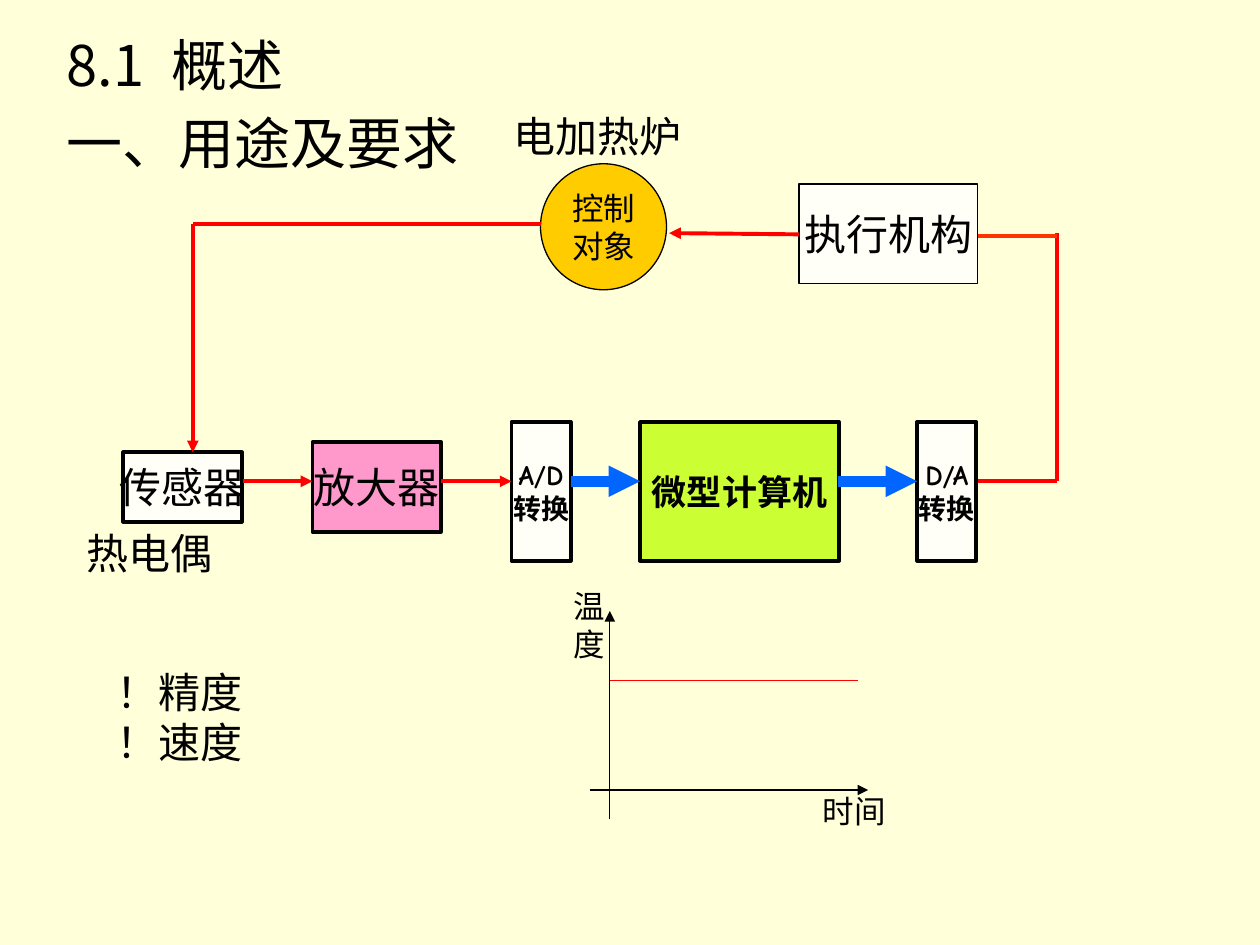
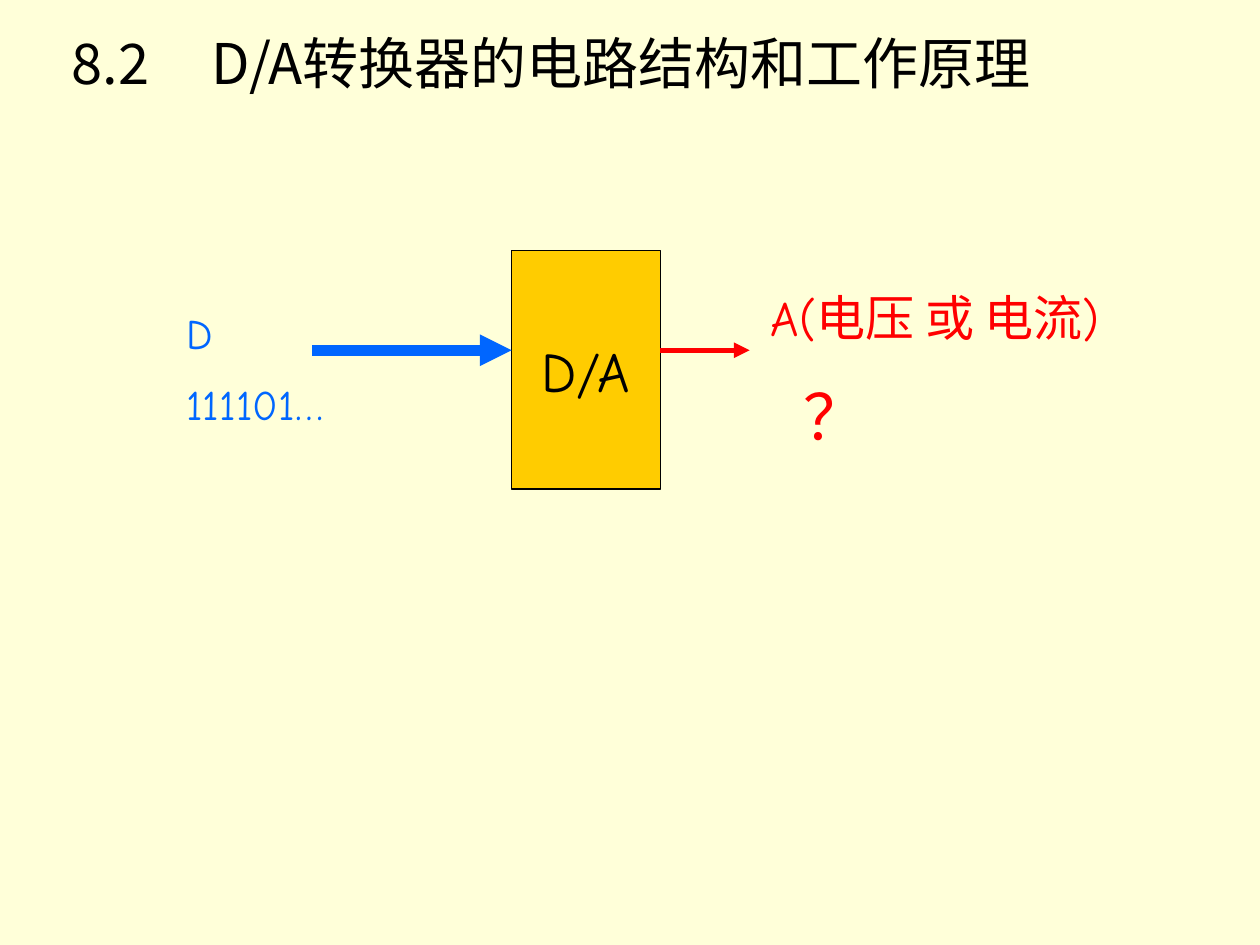
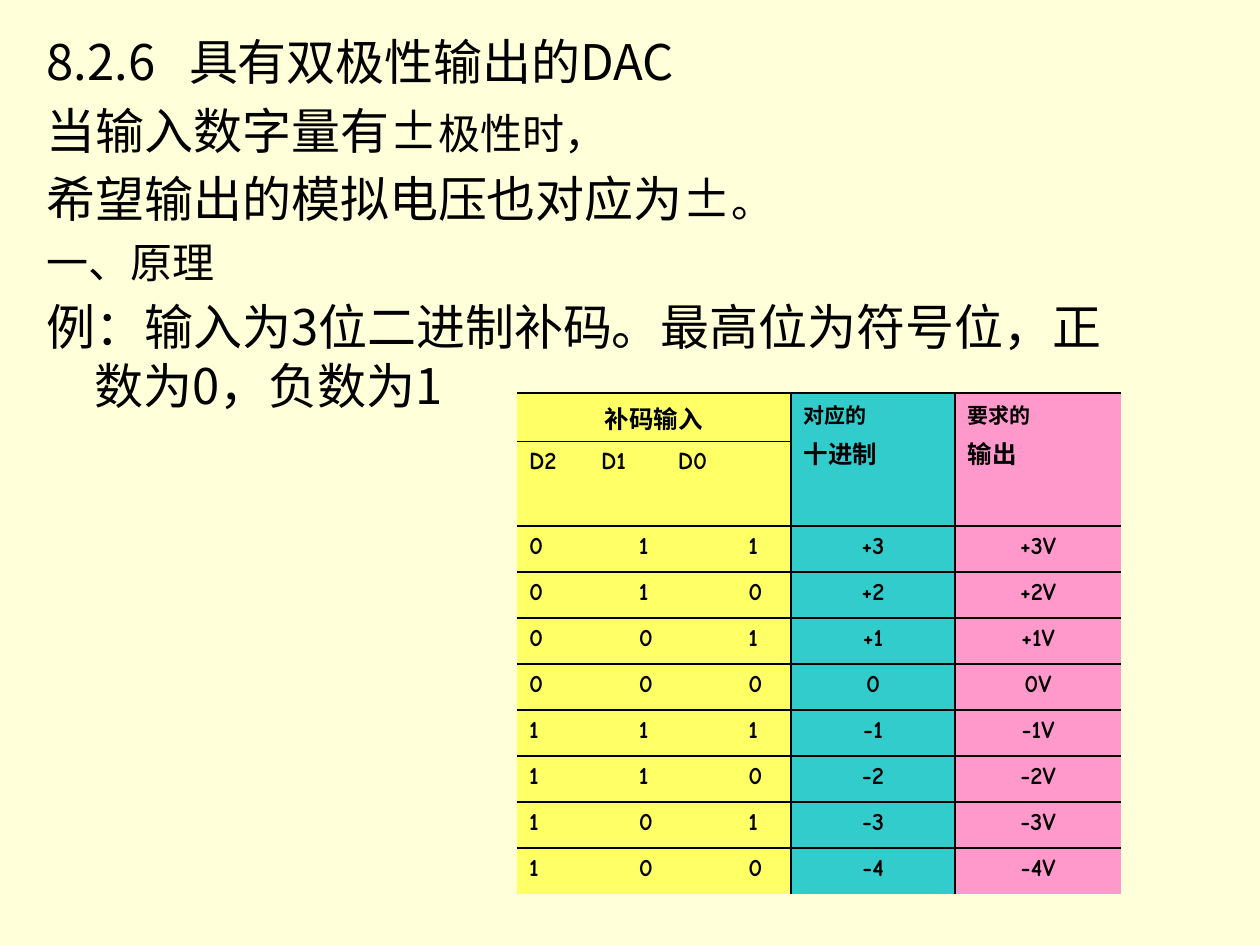
import itertools

import lxml.etree
import pptx
import pptx.dml.color
import pptx.enum.shapes
import pptx.enum.text
import pptx.oxml.ns
import pptx.util

RGBColor = pptx.dml.color.RGBColor
SHAPE = pptx.enum.shapes.MSO_SHAPE
ALIGN = pptx.enum.text.PP_ALIGN
qn = pptx.oxml.ns.qn

CREAM = RGBColor(0xFF, 0xFF, 0xD9)
IVORY = RGBColor(0xFF, 0xFF, 0xF7)
BLACK = RGBColor(0x00, 0x00, 0x00)
RED = RGBColor(0xFF, 0x00, 0x00)
ORANGE_RED = RGBColor(0xFF, 0x33, 0x00)
BLUE = RGBColor(0x00, 0x66, 0xFF)
PINK = RGBColor(0xFF, 0x99, 0xCC)
LIME = RGBColor(0xCC, 0xFF, 0x33)
GOLD = RGBColor(0xFF, 0xCC, 0x00)
YELLOW = RGBColor(0xFF, 0xFF, 0x66)
TEAL = RGBColor(0x33, 0xCC, 0xCC)

CHINESE = "Noto Sans CJK SC"
LATIN = "Comic Neue"
PLAIN = "Arial"

SLIDE_WIDTH, SLIDE_HEIGHT = pptx.util.Inches(10), pptx.util.Inches(7.5)
COLUMN, ROW = SLIDE_WIDTH / 10, SLIDE_HEIGHT / 7.5
SIGNAL_ROW = 3.82
PLAIN_TABLE = "{2D5ABB26-0587-4C30-8999-92F81FD0307C}"


def place(*lengths):
    """Turn alternating grid columns and rows into slide lengths."""
    return [round(length * unit) for length, unit in zip(lengths, itertools.cycle((COLUMN, ROW)))]


def style(para, size, font, color=BLACK, bold=False, align=None, before=0, indent=0, hanging=0, tab_step=None):
    """Format a paragraph; indents and tab steps are in grid columns."""
    properties = para._p.get_or_add_pPr()
    properties.set("marL", str(round(indent * COLUMN)))
    properties.set("indent", str(round(-hanging * COLUMN)))
    if tab_step:
        properties.set("defTabSz", str(round(tab_step * COLUMN)))
    lxml.etree.SubElement(properties, qn("a:buNone"))
    para.font.size = pptx.util.Pt(size)
    para.font.bold = bold
    para.font.color.rgb = color
    para.font.name = font
    lxml.etree.SubElement(properties.find(qn("a:defRPr")), qn("a:ea"), typeface=CHINESE)
    para.space_before = pptx.util.Pt(before)
    if align is not None:
        para.alignment = align


def paragraphs(frame, lines):
    """Yield one paragraph for each line, with its place in the list."""
    for index, line in enumerate(lines):
        para = frame.paragraphs[0] if index == 0 else frame.add_paragraph()
        yield index, line, para


def add_body(slide, area, lines, number_width):
    """Fill the body placeholder with (size, text, smaller tail) lines."""
    body = slide.placeholders[1]
    body.left, body.top, body.width, body.height = place(*area)
    body.text_frame.auto_size = pptx.enum.text.MSO_AUTO_SIZE.NONE
    for index, (size, text, tail), para in paragraphs(body.text_frame, lines):
        para.add_run().text = text
        if tail:
            span = para.add_run()
            span.text = tail
            span.font.size = pptx.util.Pt(24)
        hanging = number_width if "\t" in text else 0.38
        style(para, size, CHINESE, before=0.2 * size if index else 0, indent=hanging, hanging=hanging)


def add_label(slide, area, lines, size, font, color=BLACK, spacing=0.0, hanging=0):
    """Add a free text label with one paragraph for each line."""
    box = slide.shapes.add_textbox(*place(*area))
    box.text_frame.word_wrap = True
    for index, line, para in paragraphs(box.text_frame, lines):
        para.text = line
        style(para, size, font, color, before=spacing * size if index else 0, indent=hanging, hanging=hanging)
    return box


def add_block(slide, area, lines, fill, size, font, bold=False, border=2.25, kind=SHAPE.RECTANGLE):
    """Add an outlined diagram block with centred text."""
    block = slide.shapes.add_shape(kind, *place(*area))
    block.shadow.inherit = False
    block.fill.solid()
    block.fill.fore_color.rgb = fill
    block.line.color.rgb = BLACK
    block.line.width = pptx.util.Pt(border)
    frame = block.text_frame
    frame.word_wrap = False
    frame.vertical_anchor = pptx.enum.text.MSO_ANCHOR.MIDDLE
    for _, line, para in paragraphs(frame, lines):
        para.text = line
        style(para, size, font, bold=bold, align=ALIGN.CENTER)


def add_path(slide, points, color=RED, width=2.25, arrow=True):
    """Join the points with straight connectors, with an arrowhead at the end."""
    for start, end in itertools.pairwise(points):
        line = slide.shapes.add_connector(pptx.enum.shapes.MSO_CONNECTOR.STRAIGHT, *place(*start, *end))
        line.line.color.rgb = color
        line.line.width = pptx.util.Pt(width)
        if arrow and end == points[-1]:
            lxml.etree.SubElement(line.line._get_or_add_ln(), qn("a:tailEnd"), type="triangle")
        lxml.etree.SubElement(line._element.spPr, qn("a:effectLst"))


def add_border(cell, side, visible=True):
    """Draw a thin black border on one side of a table cell, or clear it."""
    border = lxml.etree.Element(qn(f"a:ln{side}"), w=str(pptx.util.Pt(1)))
    fill = lxml.etree.SubElement(border, qn("a:solidFill" if visible else "a:noFill"))
    if visible:
        lxml.etree.SubElement(fill, qn("a:srgbClr"), val=str(BLACK))
    cell._tc.get_or_add_tcPr().insert(0, border)


def write_cell(cell, lines, align=None, **layout):
    """Write (size, text) lines into a table cell."""
    for index, (size, text), para in paragraphs(cell.text_frame, lines):
        para.text = text
        style(para, size, LATIN, bold=True, align=align, before=0.2 * size if index else 0, **layout)


def add_code_table(slide):
    """Add the table of complement codes, decimal values and output voltages."""
    heights = [0.38, 0.67] + [2.92 / 8] * 8
    widths = [0.87, 0.87, 0.44, 1.3, 1.32]
    fills = [YELLOW] * 3 + [TEAL, PINK]
    frame = slide.shapes.add_table(len(heights), len(widths), *place(4.1, 3.12, sum(widths), sum(heights)))
    table = frame.table
    table.first_row = table.horz_banding = False
    table._tbl.tblPr.find(qn("a:tableStyleId")).text = PLAIN_TABLE
    for column, width in zip(table.columns, widths):
        column.width = round(width * COLUMN)
    for row, height in zip(table.rows, heights):
        row.height = round(height * ROW)
    for row in (0, 1):
        table.cell(row, 0).merge(table.cell(row, 2))
    for column in (3, 4):
        table.cell(0, column).merge(table.cell(1, column))

    write_cell(table.cell(0, 0), [(14, "补码输入")], ALIGN.CENTER)
    write_cell(table.cell(0, 3), [(12, "对应的"), (14, "十进制")])
    write_cell(table.cell(0, 4), [(12, "要求的"), (14, "输出")])
    write_cell(table.cell(1, 0), [(14, "D2\tD1\tD0")], indent=0.57, hanging=0.57, tab_step=0.61)
    for row, value in enumerate(range(3, -5, -1), start=2):
        number = f"{value:+d}" if value else "0"
        for column, bit in enumerate(f"{value % 8:03b}"):
            write_cell(table.cell(row, column), [(14, bit)])
        write_cell(table.cell(row, 3), [(14, number)], ALIGN.CENTER)
        write_cell(table.cell(row, 4), [(14, number + "V")], ALIGN.CENTER)

    for row, column in itertools.product(range(len(heights)), range(len(widths))):
        cell = table.cell(row, column)
        cell.fill.solid()
        cell.fill.fore_color.rgb = fills[column]
        if cell.is_spanned:
            write_cell(cell, [(12, "")])
        else:
            add_border(cell, "T")
        if column == 4:
            add_border(cell, "R", visible=False)
        if column >= 3:
            add_border(cell, "L")


def add_page(deck):
    """Add a slide that keeps only the body placeholder."""
    page = deck.slides.add_slide(deck.slide_layouts[1])
    title = page.shapes.title._element
    title.getparent().remove(title)
    return page


def build_overview(deck):
    """Build the control loop with its temperature graph."""
    page = add_page(deck)
    add_body(page, (0.43, 0.19, 8.9, 6.19), [(32, "8.1\t概述", ""), (32, "一、用途及要求", "")], 0.83)
    add_block(page, (0.98, 3.59, 0.94, 0.55), ["传感器"], IVORY, 24, LATIN)
    add_block(page, (2.48, 3.51, 1.02, 0.71), ["放大器"], PINK, 24, PLAIN)
    for left, name in ((4.06, "A/D"), (7.28, "D/A")):
        add_block(page, (left, 3.35, 0.47, 1.1), [name, "转换"], IVORY, 16, LATIN, bold=True)
    add_block(page, (5.08, 3.35, 1.58, 1.1), ["微型计算机"], LIME, 20, LATIN, bold=True)
    add_block(page, (4.29, 1.3, 1, 1), ["控制", "对象"], GOLD, 18, CHINESE, border=0.75, kind=SHAPE.OVAL)
    add_block(page, (6.34, 1.46, 1.42, 0.79), ["执行机构"], IVORY, 24, CHINESE, border=0.75)

    signals = [(1.93, 2.48, RED, 2.25), (3.5, 4.06, RED, 2.25), (4.53, 5.08, BLUE, 6), (6.65, 7.28, BLUE, 6)]
    for start, end, color, width in signals:
        add_path(page, [(start, SIGNAL_ROW), (end, SIGNAL_ROW)], color, width)
    add_path(page, [(7.76, SIGNAL_ROW), (8.39, SIGNAL_ROW), (8.39, 1.85)], arrow=False)
    add_path(page, [(7.76, 1.87), (8.39, 1.87)], ORANGE_RED, arrow=False)
    add_path(page, [(6.34, 1.86), (5.31, 1.85)])
    add_path(page, [(4.29, 1.78), (1.53, 1.78), (1.53, 3.59)])

    add_path(page, [(4.68, 6.27), (6.89, 6.27)], BLACK, 0.75)
    add_path(page, [(4.84, 6.5), (4.84, 4.85)], BLACK, 0.75)
    add_path(page, [(4.84, 5.4), (6.81, 5.4)], RED, 0.75, arrow=False)
    add_label(page, (4.45, 4.61, 0.55, 0.7), ["温度"], 18, PLAIN)
    add_label(page, (6.43, 6.24, 0.71, 0.4), ["时间"], 18, PLAIN)
    add_label(page, (0.83, 5.24, 1.34, 0.9), ["！精度", "！速度"], 24, PLAIN, hanging=0.38)
    add_label(page, (3.98, 0.83, 1.57, 0.5), ["电加热炉"], 24, CHINESE)
    add_label(page, (0.59, 4.14, 1.57, 0.5), ["热电偶"], 24, CHINESE)


def build_converter(deck):
    """Build the digital to analogue converter block."""
    page = add_page(deck)
    add_body(page, (0.47, 0.18, 8.9, 6.11), [(32, "8.2\tD/A转换器的电路结构和工作原理", "")], 1.11)
    add_label(page, (1.38, 2.39, 1.58, 1.1), ["D", "111101…"], 24, LATIN, BLUE, spacing=0.5)
    add_block(page, (4.06, 1.99, 1.18, 1.89), ["D/A"], GOLD, 32, LATIN, border=0.75)
    add_path(page, [(2.48, 2.78), (4.06, 2.78)], BLUE, 6)
    add_path(page, [(5.24, 2.78), (5.95, 2.78)], RED, 3)
    output = add_label(page, (6.02, 2.23, 3.46, 1.47), ["A(电压 或 电流)"], 28, LATIN, RED)
    question = output.text_frame.add_paragraph()
    question.text = "？"
    style(question, 36, LATIN, RED, before=18, indent=0.26)


def build_bipolar(deck):
    """Build the bipolar output page with its code table."""
    page = add_page(deck)
    add_body(page, (0.27, 0.2, 8.9, 2.83), [
        (28, "8.2.6\t具有双极性输出的DAC", ""),
        (28, "当输入数字量有±", "极性时，"),
        (28, "希望输出的模拟电压也对应为±", "。"),
        (24, "一、原理", ""),
        (28, "例：输入为3位二进制补码。最高位为符号位，正数为0，负数为1", ""),
    ], 1.13)
    add_code_table(page)


def main():
    """Build and save the deck."""
    deck = pptx.Presentation()
    deck.slide_width, deck.slide_height = SLIDE_WIDTH, SLIDE_HEIGHT
    background = deck.slide_master.background.fill
    background.solid()
    background.fore_color.rgb = CREAM
    build_overview(deck)
    build_converter(deck)
    build_bipolar(deck)
    deck.save("out.pptx")


if __name__ == "__main__":
    main()
